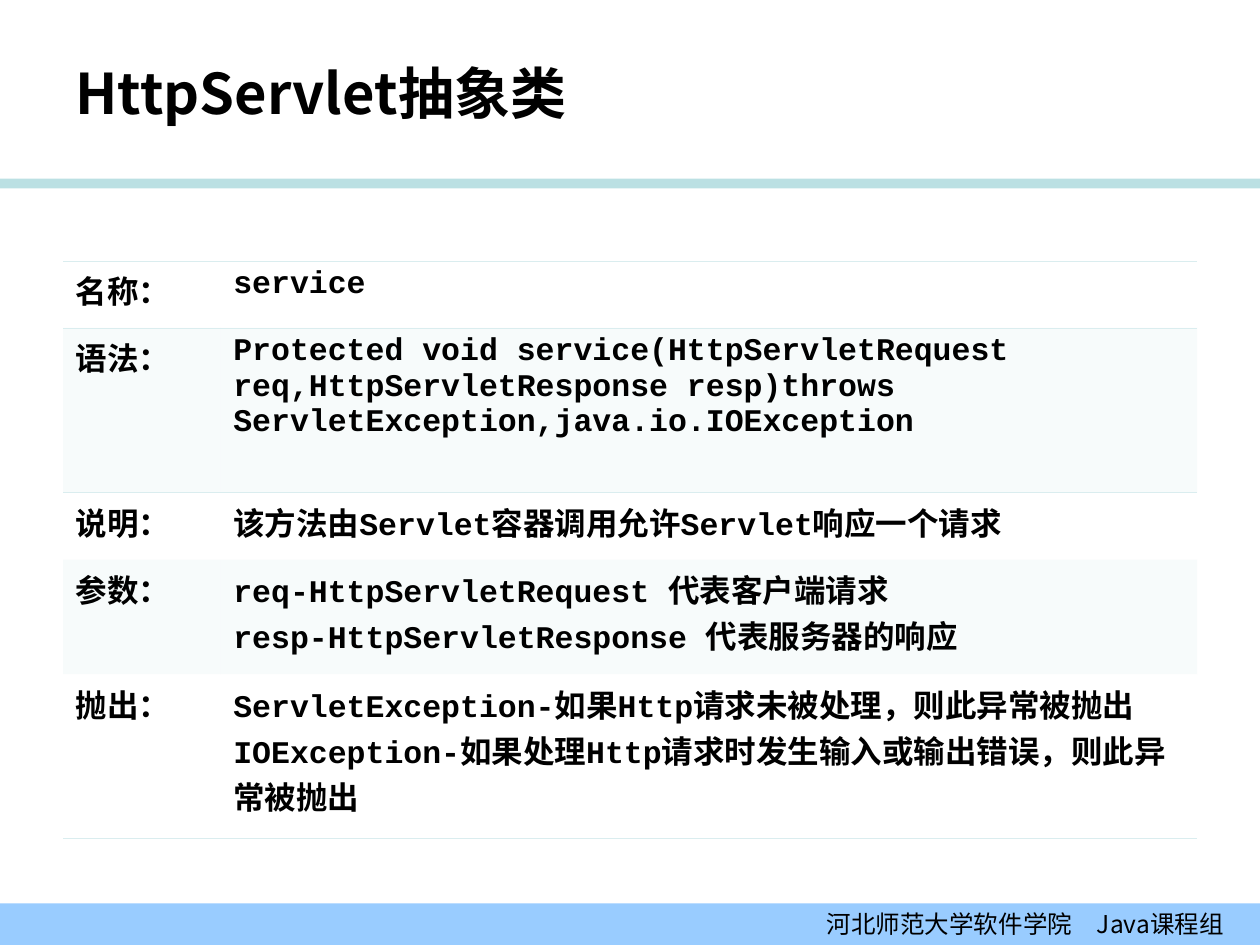
from lxml.etree import SubElement
from pptx import Presentation
from pptx.dml.color import RGBColor
from pptx.enum.shapes import MSO_SHAPE
from pptx.enum.text import MSO_ANCHOR, PP_ALIGN
from pptx.oxml.ns import qn
from pptx.util import Cm, Pt

COLORS = {"text": "000000", "rule": "BBE0E3", "footer": "99CCFF", "table": "DAEDEF"}
SANS = "Noto Sans CJK SC"
MONO = "Courier New"
NO_STYLE = "{2D5ABB26-0587-4C30-8999-92F81FD0307C}"


def write(frame, *lines, size=18, font=MONO, bold=True, align=PP_ALIGN.LEFT):
    frame.word_wrap = True
    for index, line in enumerate(lines):
        paragraph = frame.add_paragraph() if index else frame.paragraphs[0]
        paragraph.alignment = align
        run = paragraph.add_run()
        run.text = line
        run.font.size = Pt(size)
        run.font.bold = bold
        run.font.name = font
        run.font.color.rgb = RGBColor.from_string(COLORS["text"])
        SubElement(run.font._element, qn("a:ea"), typeface=SANS)


def add_border(cell, side):
    line = SubElement(cell._tc.get_or_add_tcPr(), qn(f"a:{side}"), w=str(Pt(0.45)))
    fill = SubElement(line, qn("a:solidFill"))
    SubElement(fill, qn("a:srgbClr"), val=COLORS["table"])


prs = Presentation()
prs.slide_width, prs.slide_height = Cm(25.4), Cm(19.05)
slide = prs.slides.add_slide(prs.slide_layouts[6])

bands = {}
for part, top, height in [("rule", 3.6, 0.2), ("footer", 18.21, 0.84)]:
    band = slide.shapes.add_shape(
        MSO_SHAPE.RECTANGLE, 0, Cm(top), prs.slide_width, Cm(height))
    band.shadow.inherit = False
    band.fill.solid()
    band.fill.fore_color.rgb = RGBColor.from_string(COLORS[part])
    band.line.fill.background()
    bands[part] = band

credit = bands["footer"].text_frame
credit.vertical_anchor = MSO_ANCHOR.MIDDLE
credit.margin_right = Cm(0.73)
write(credit, "河北师范大学软件学院　Java课程组",
      size=14, font=SANS, bold=False, align=PP_ALIGN.RIGHT)

title = slide.shapes.add_textbox(Cm(1.27), Cm(0.76), Cm(20.32), Cm(2.21)).text_frame
title.vertical_anchor = MSO_ANCHOR.MIDDLE
write(title, "HttpServlet抽象类", size=32, font=SANS)

method_rows = [
    (1.35, "名称：", ["service"]),
    (3.32, "语法：", ["Protected void service(HttpServletRequest "
                   "req,HttpServletResponse resp)throws "
                   "ServletException,java.io.IOException"]),
    (1.35, "说明：", ["该方法由Servlet容器调用允许Servlet响应一个请求"]),
    (2.31, "参数：", ["req-HttpServletRequest 代表客户端请求",
                   "resp-HttpServletResponse 代表服务器的响应"]),
    (3.32, "抛出：", ["ServletException-如果Http请求未被处理，则此异常被抛出",
                   "IOException-如果处理Http请求时发生输入或输出错误，则此异常被抛出"]),
]
borders = {0: ["lnT", "lnB"], 1: ["lnT"], 4: ["lnB"]}

method = slide.shapes.add_table(
    len(method_rows), 2, Cm(1.27), Cm(5.26), Cm(22.86), Cm(11.65)).table
method.first_row = method.horz_banding = False
method._tbl.tblPr.find(qn("a:tableStyleId")).text = NO_STYLE
method.columns[0].width = Cm(3.18)
method.columns[1].width = Cm(19.68)

for row, (height, label, details) in enumerate(method_rows):
    method.rows[row].height = Cm(height)
    for column, lines in enumerate([[label], details]):
        cell = method.cell(row, column)
        write(cell.text_frame, *lines)
        for side in borders.get(row, []):
            add_border(cell, side)
        if row % 2:
            cell.fill.solid()
            cell.fill.fore_color.rgb = RGBColor.from_string(COLORS["table"])
            tint = cell._tc.tcPr.find(qn("a:solidFill")).find(qn("a:srgbClr"))
            SubElement(tint, qn("a:alpha"), val="20000")
        else:
            cell.fill.background()

prs.save("out.pptx")
